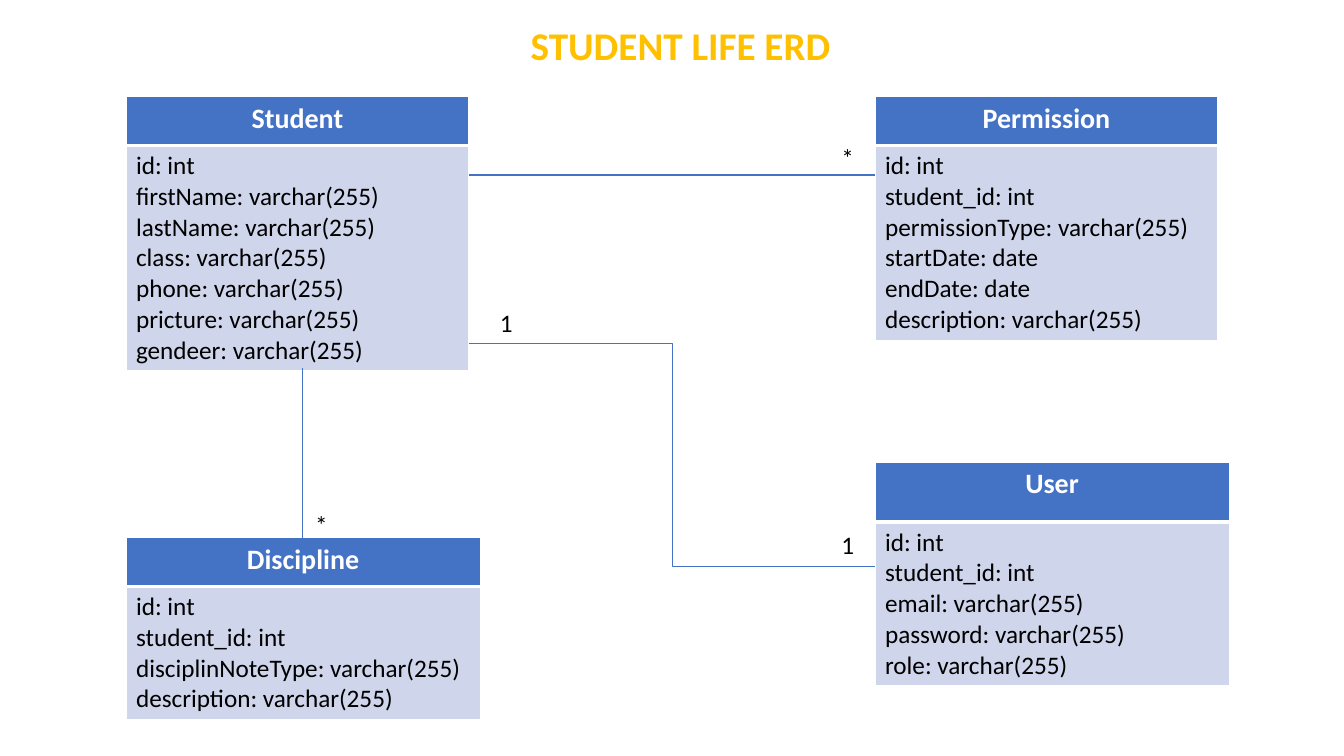
from pptx import Presentation
from pptx import util as u
from pptx.dml.color import RGBColor
from pptx.enum import shapes, text
from pptx.oxml import parse_xml
from pptx.oxml.ns import nsdecls

BLUE, PALE, WHITE, BLACK, GOLD = "4472C4", "CFD5EA", "FFFFFF", "000000", "FFC000"
HEADER, BODY, TITLE = (dict(size=u.Pt(20), bold=True), dict(size=u.Pt(18), bold=False),
                       dict(size=u.Pt(28), bold=True))
LINE_HEIGHT, CELL_PADDING = 22, 7


def rgb(color):
    return RGBColor.from_string(color)


class Diagram:
    font = "Calibri"

    def __init__(self, slide):
        self.s = slide

    def add_lines(self, tf, lines, color, fmt, align=text.PP_ALIGN.LEFT):
        for i, line in enumerate(lines):
            p = tf.paragraphs[0] if i == 0 else tf.add_paragraph()
            p.alignment = align
            r = p.add_run()
            r.text = line
            for name, value in dict(fmt, name=self.font).items():
                setattr(r.font, name, value)
            r.font.color.rgb = rgb(color)

    def label(self, words, x, y, w=45, h=29, color=BLACK, fmt=BODY):
        sp = self.s.shapes.add_textbox(u.Pt(x), u.Pt(y), u.Pt(w), u.Pt(h))
        sp.text_frame.word_wrap = True
        self.add_lines(sp.text_frame, [words], color, fmt)

    def cell(self, cell, fill, **borders):
        """Fill a cell and give it white borders; the widths are in points."""
        tc_pr = cell._tc.get_or_add_tcPr()
        for side in "LRTB":
            tc_pr.append(parse_xml(
                f'<a:ln{side} {nsdecls("a")} w="{u.Pt(borders.get(side, 1))}"><a:solidFill>'
                f'<a:srgbClr val="{WHITE}"/></a:solidFill></a:ln{side}>'))
        cell.fill.solid()
        cell.fill.fore_color.rgb = rgb(fill)

    def entity(self, name, fields, x, y, w, header_height=35):
        body_height = LINE_HEIGHT * len(fields) + CELL_PADDING
        table = self.s.shapes.add_table(2, 1, u.Pt(x), u.Pt(y), u.Pt(w),
                                        u.Pt(header_height + body_height)).table
        for row, height in zip(table.rows, (header_height, body_height)):
            row.height = u.Pt(height)
        header, body = table.cell(0, 0), table.cell(1, 0)
        self.cell(header, BLUE, B=3)
        self.cell(body, PALE, T=3)
        self.add_lines(header.text_frame, [name], WHITE, HEADER, text.PP_ALIGN.CENTER)
        self.add_lines(body.text_frame, fields, BLACK, BODY)

    def relation(self, x1, y1, x2, y2, width=0.5, kind=shapes.MSO_CONNECTOR.STRAIGHT):
        line = self.s.shapes.add_connector(kind, u.Pt(x1), u.Pt(y1), u.Pt(x2), u.Pt(y2))
        line.line.color.rgb = rgb(BLUE)
        line.line.width = u.Pt(width)
        line._element.spPr.append(parse_xml(f'<a:effectLst {nsdecls("a")}/>'))


def main():
    prs = Presentation()
    prs.slide_width, prs.slide_height = u.Pt(960), u.Pt(540)
    d = Diagram(prs.slides.add_slide(prs.slide_layouts[6]))
    left, right, top = 90, 625, 69

    d.entity("Permission", ["id: int", "student_id: int", "permissionType: varchar(255)",
                            "startDate: date", "endDate: date",
                            "description: varchar(255)"], right, top, 245)
    d.entity("Student", ["id: int", "firstName: varchar(255)", "lastName: varchar(255)",
                         "class: varchar(255)", "phone: varchar(255)",
                         "pricture: varchar(255)", "gendeer: varchar(255)"], left, top, 245)
    d.entity("Discipline", ["id: int", "student_id: int", "disciplinNoteType: varchar(255)",
                            "description: varchar(255)"], left, 384, 253)
    d.entity("User", ["id: int", "student_id: int", "email: varchar(255)",
                      "password: varchar(255)", "role: varchar(255)"], right, 330, 253, 43)

    d.relation(335, 125, right, 125, 1.5)
    d.relation(216, 263, 216, 384)
    d.relation(335, 245.5, right, 404.5, kind=shapes.MSO_CONNECTOR.ELBOW)

    for words, x, y in (("*", 594, 98), ("*", 218, 360), ("1", 350, 216), ("1", 594, 374.5)):
        d.label(words, x, y)
    d.label("STUDENT LIFE ERD", 372, 11.5, 253, 41, GOLD, TITLE)
    prs.save("out.pptx")


if __name__ == "__main__":
    main()
